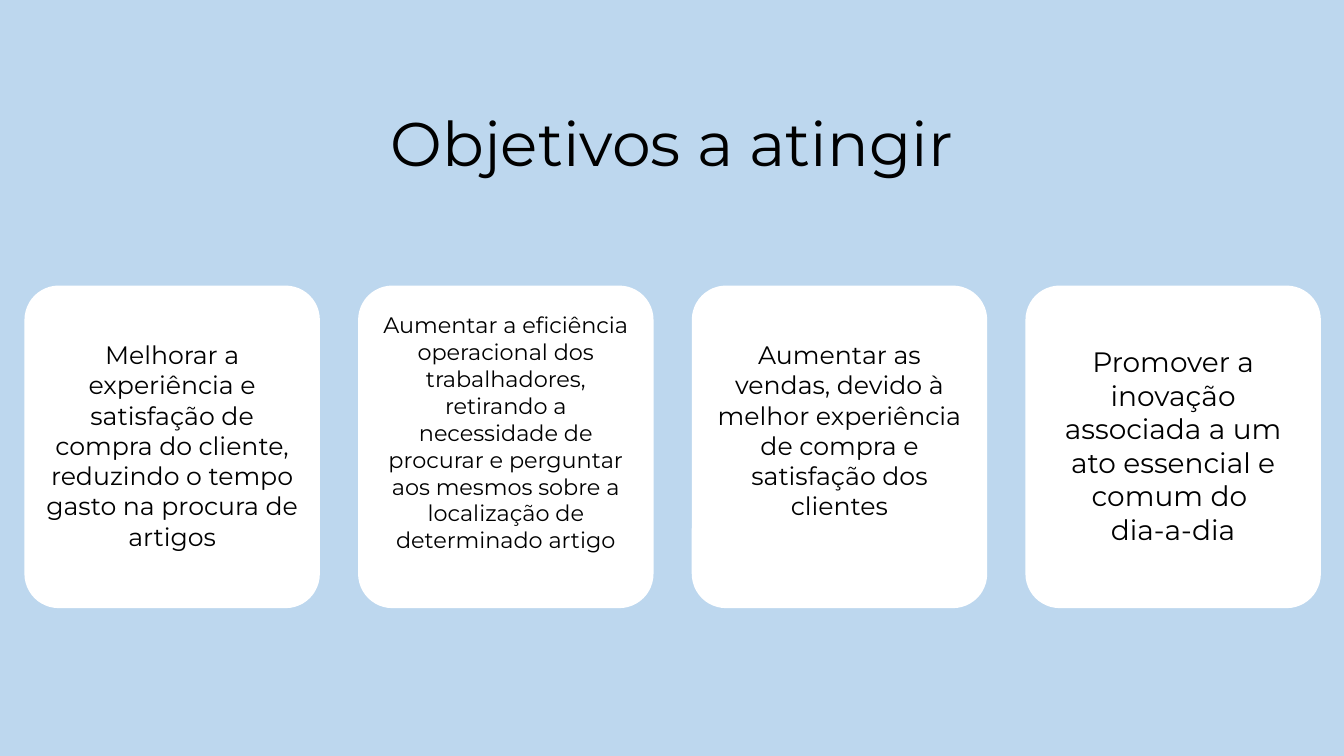
from pptx import Presentation
from pptx.dml.color import RGBColor
from pptx.enum.shapes import MSO_SHAPE
from pptx.enum.text import MSO_ANCHOR, PP_ALIGN
from pptx.util import Pt

ROUND = MSO_SHAPE.ROUNDED_RECTANGLE
TOP, MIDDLE = MSO_ANCHOR.TOP, MSO_ANCHOR.MIDDLE
CENTER = PP_ALIGN.CENTER

FONT = "Montserrat"
COLORS = {"back": "BDD7EE", "card": "FFFFFF", "text": "000000"}
GOALS = [
    ("Melhorar a experiência e satisfação de compra do cliente, "
     "reduzindo o tempo gasto na procura de artigos", 18, 35),
    ("Aumentar a eficiência operacional dos trabalhadores, retirando a "
     "necessidade de procurar e perguntar aos mesmos sobre a localização "
     "de determinado artigo", 16, 15),
    ("Aumentar as vendas, devido à melhor experiência de compra e "
     "satisfação dos clientes", 18, 35),
    ("Promover a inovação associada a um ato essencial e comum do \n"
     "dia-a-dia", 20, 38.5),
]


def paint(fill, name):
    fill.solid()
    fill.fore_color.rgb = RGBColor.from_string(COLORS[name])


def add_text(slide, text, box, size=18, anchor=TOP, space=1.0):
    frame = slide.shapes.add_textbox(*map(Pt, box)).text_frame
    frame.word_wrap = True
    frame.vertical_anchor = anchor
    frame.text = text
    for para in frame.paragraphs:
        para.alignment = CENTER
        para.line_spacing = space
        for run in para.runs:
            run.font.name = FONT
            run.font.size = Pt(size)
            run.font.color.rgb = RGBColor.from_string(COLORS["text"])


def add_title(slide, box):
    add_text(slide, "Objetivos a atingir", box, size=44, anchor=MIDDLE, space=0.9)


def add_card(slide, box, text, size, drop):
    left, top, width, height = box
    card = slide.shapes.add_shape(ROUND, *map(Pt, box))
    card.adjustments[0] = 0.116
    card.shadow.inherit = False
    paint(card.fill, "card")
    card.line.fill.background()
    inset = 7
    add_text(slide, text,
             (left + inset, top + drop, width - 2 * inset, height - 2 * drop),
             size=size)


def add_goals(slide, box):
    left, top, width, height = box
    wide = 211
    step = (width - wide) / (len(GOALS) - 1)
    for i, goal in enumerate(GOALS):
        add_card(slide, (left + i * step, top, wide, height), *goal)


def main():
    deck = Presentation()
    deck.slide_width, deck.slide_height = Pt(960), Pt(540)
    slide = deck.slides.add_slide(deck.slide_layouts[6])
    paint(slide.background.fill, "back")
    add_title(slide, (66, 73, 828, 64))
    add_goals(slide, (17.5, 204, 926, 230.4))
    deck.save("out.pptx")


if __name__ == "__main__":
    main()
